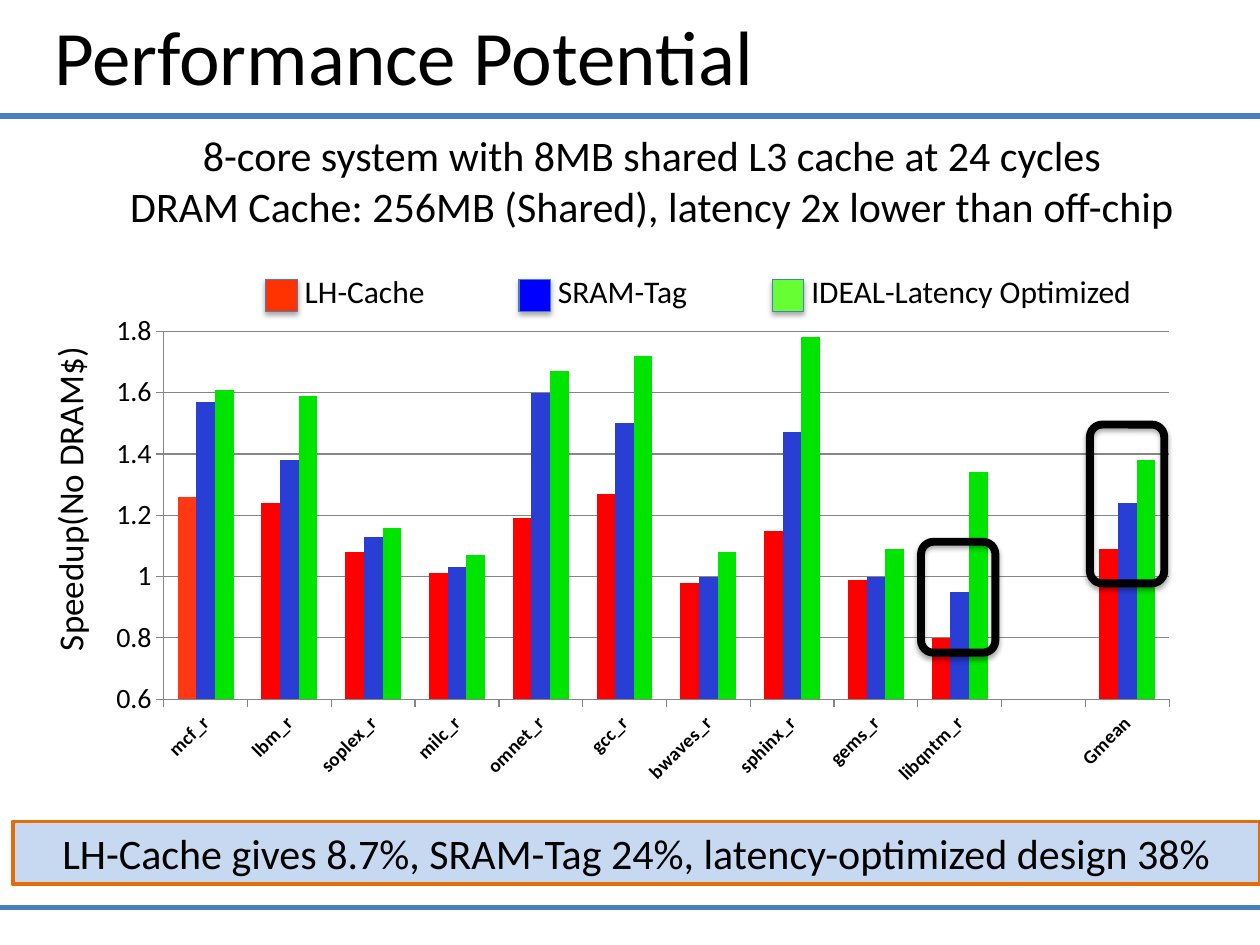
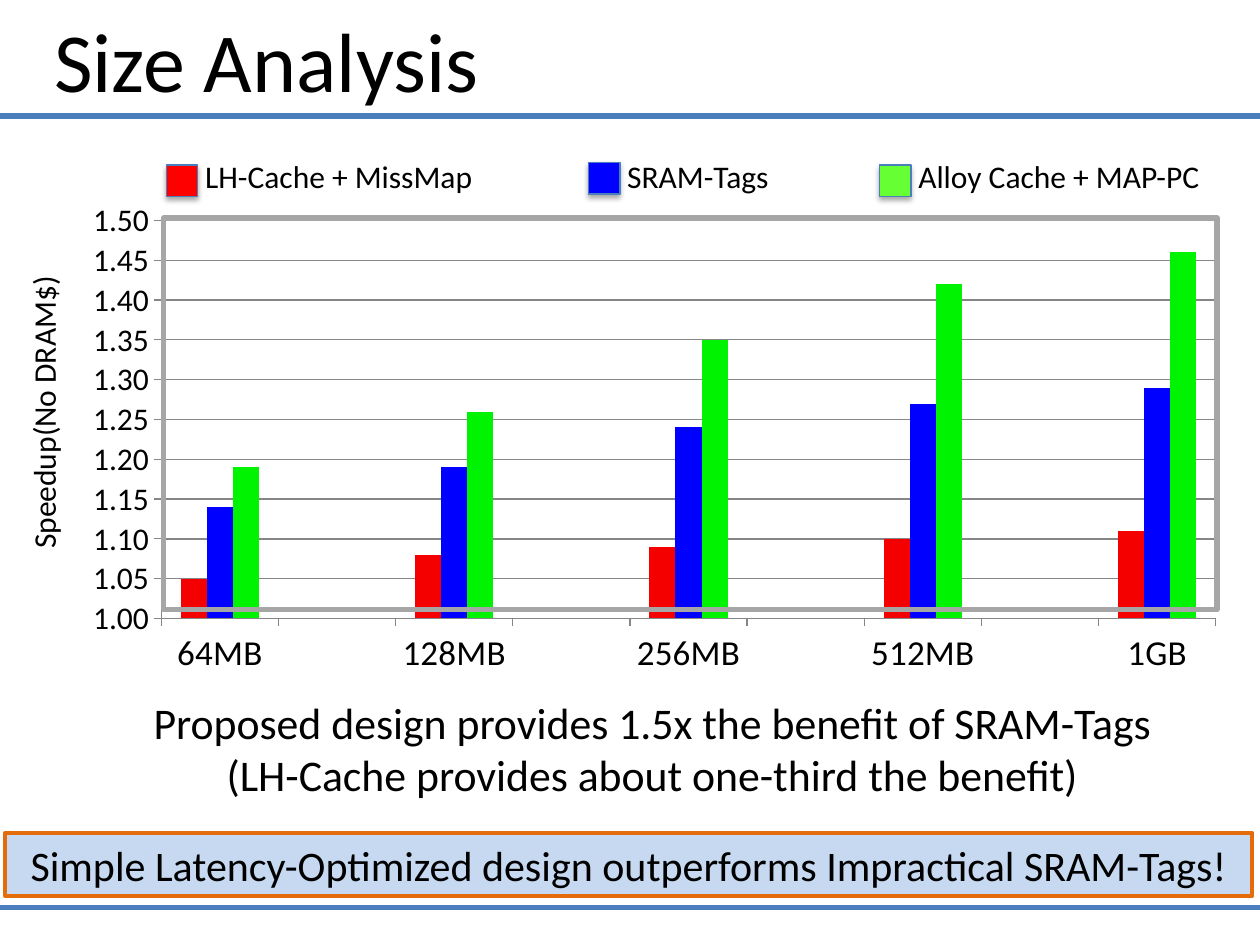
"""Build two slides on DRAM cache performance with python-pptx."""
from dataclasses import dataclass
from typing import NamedTuple, Optional

from lxml import etree
from pptx import Presentation
from pptx import util as u
from pptx.chart import data as chart_data
from pptx.dml.color import RGBColor
from pptx.enum import chart as charts, shapes, text
from pptx.oxml import parse_xml
from pptx.oxml.ns import nsdecls, qn


@dataclass(frozen=True)
class Theme:
    """Colours, font and type sizes of the deck."""
    font: str = "Calibri"
    ink: str = "000000"
    rule: str = "4B7EBC"
    banner: str = "C6D9F1"
    banner_edge: str = "E46C0A"
    frame: str = "A6A6A6"
    grid: str = "868686"
    blue: str = "0000FF"
    green: str = "66FF33"
    banner_size: int = 24
    legend_size: int = 18


class Frame(NamedTuple):
    """A rectangle in inches."""
    left: float
    top: float
    width: float
    height: float

    def lengths(self) -> tuple:
        """Return the four lengths for python-pptx."""
        return tuple(u.Inches(side) for side in self)


class Series(NamedTuple):
    """A set of bars."""
    name: str
    color: str
    values: tuple


class Key(NamedTuple):
    """A legend swatch with its label."""
    label: str
    color: str
    left: float
    top: float
    label_width: float


@dataclass(frozen=True)
class BarChart:
    """A clustered column chart and its axes."""
    frame: Frame
    plot: Frame
    categories: tuple
    series: tuple
    low: float
    high: float
    step: float
    number_format: str
    value_size: int
    category_size: int
    category_bold: bool = False
    category_angle: int = 0


THEME = Theme()


def rgb(color: str) -> RGBColor:
    """Turn a hex code into a colour."""
    return RGBColor.from_string(color)


def write(frame, lines: list, size: float, align=text.PP_ALIGN.LEFT) -> None:
    """Write one paragraph per line into a text frame."""
    for index, line in enumerate(lines):
        para = frame.add_paragraph() if index else frame.paragraphs[0]
        para.alignment = align
        span = para.add_run()
        span.text = line
        span.font.name = THEME.font
        span.font.size = u.Pt(size)
        span.font.color.rgb = rgb(THEME.ink)


def add_text(page, place: Frame, lines: list, size: float,
             align=text.PP_ALIGN.LEFT, rotation: float = 0) -> None:
    """Add an unwrapped text box."""
    box = page.shapes.add_textbox(*place.lengths())
    box.rotation = rotation
    box.text_frame.word_wrap = False
    write(box.text_frame, lines, size, align)


def add_box(page, place: Frame, line: str, weight: float, fill: Optional[str] = None,
            kind=shapes.MSO_SHAPE.RECTANGLE, shadow: bool = False):
    """Add an outlined shape, optionally filled and shadowed."""
    box = page.shapes.add_shape(kind, *place.lengths())
    box.shadow.inherit = False
    box.line.color.rgb = rgb(line)
    box.line.width = u.Pt(weight)
    if fill:
        box.fill.solid()
        box.fill.fore_color.rgb = rgb(fill)
    else:
        box.fill.background()
    if shadow:
        effects = box._element.spPr.find(qn("a:effectLst"))
        effects.append(parse_xml(
            f'<a:outerShdw {nsdecls("a")} blurRad="{u.Pt(3.1)}" dist="{u.Pt(1.8)}" '
            f'dir="5400000" rotWithShape="0"><a:srgbClr val="{THEME.ink}">'
            '<a:alpha val="35000"/></a:srgbClr></a:outerShdw>'))
    return box


def add_page(deck, title: str, title_size: float):
    """Add a page with its title and two rules."""
    page = deck.slides.add_slide(deck.slide_layouts[5])
    for top in (0.92, 7.2):
        rule = page.shapes.add_connector(
            shapes.MSO_CONNECTOR.STRAIGHT, 0, u.Inches(top), u.Inches(10), u.Inches(top))
        rule.line.color.rgb = rgb(THEME.rule)
        rule.line.width = u.Pt(3)
        etree.SubElement(rule._element.spPr, qn("a:effectLst"))
    heading = page.shapes.title
    heading.left, heading.top, heading.width, heading.height = Frame(0.33, 0, 9.4, 0.96).lengths()
    frame = heading.text_frame
    frame.auto_size = text.MSO_AUTO_SIZE.NONE
    frame.vertical_anchor = text.MSO_ANCHOR.TOP
    frame.margin_top = u.Inches(0.07)
    write(frame, [title], title_size)
    return page


def add_banner(page, left: float, top: float, message: str) -> None:
    """Add the takeaway band."""
    box = add_box(page, Frame(left, top, 9.9, 0.5), THEME.banner_edge, 2.25, THEME.banner)
    box.text_frame.word_wrap = True
    box.text_frame.vertical_anchor = text.MSO_ANCHOR.MIDDLE
    write(box.text_frame, [message], THEME.banner_size, text.PP_ALIGN.CENTER)


def add_legend(page, keys: list, label_top: float) -> None:
    """Add swatches with labels to their right."""
    for key in keys:
        add_box(page, Frame(key.left, key.top, 0.25, 0.25), THEME.rule, 0.75,
                key.color, shadow=True)
        add_text(page, Frame(key.left + 0.21, label_top, key.label_width, 0.4),
                 [key.label], THEME.legend_size)


def place_plot(chart, outer: Frame, inner: Frame) -> None:
    """Fix the inner plot area within the chart."""
    shares = {"x": (inner.left - outer.left) / outer.width,
              "y": (inner.top - outer.top) / outer.height,
              "w": inner.width / outer.width, "h": inner.height / outer.height}
    area = chart._chartSpace.find(".//" + qn("c:plotArea"))
    for old in area.findall(qn("c:layout")):
        area.remove(old)
    sides = "".join(f'<c:{side}Mode val="edge"/>' for side in "xy")
    sides += "".join(f'<c:{side} val="{share:.4f}"/>' for side, share in shares.items())
    area.insert(0, parse_xml(
        f'<c:layout {nsdecls("c")}><c:manualLayout><c:layoutTarget val="inner"/>'
        f'{sides}</c:manualLayout></c:layout>'))


def add_bars(page, bars: BarChart):
    """Add a clustered column chart."""
    source = chart_data.CategoryChartData()
    source.categories = bars.categories
    for series in bars.series:
        source.add_series(series.name, series.values)
    chart = page.shapes.add_chart(
        charts.XL_CHART_TYPE.COLUMN_CLUSTERED, *bars.frame.lengths(), source).chart
    chart.has_legend = chart.has_title = False
    chart.font.name = THEME.font
    chart.font.size = u.Pt(10)
    chart.font.color.rgb = rgb(THEME.ink)
    plot = chart.plots[0]
    plot.gap_width, plot.overlap, plot.vary_by_categories = 150, 0, False
    for drawn, series in zip(plot.series, bars.series):
        drawn.invert_if_negative = False
        drawn.format.fill.solid()
        drawn.format.fill.fore_color.rgb = rgb(series.color)
    values, categories = chart.value_axis, chart.category_axis
    for axis, size in ((values, bars.value_size), (categories, bars.category_size)):
        axis.major_tick_mark = charts.XL_TICK_MARK.OUTSIDE
        axis.format.line.color.rgb = rgb(THEME.grid)
        axis.tick_labels.font.size = u.Pt(size)
    categories.tick_labels.font.bold = bars.category_bold
    labels = categories._element.find(qn("c:txPr")).find(qn("a:bodyPr"))
    labels.set("rot", str(bars.category_angle * 60000))
    values.minimum_scale, values.maximum_scale = bars.low, bars.high
    values.major_unit = bars.step
    values.tick_labels.number_format = bars.number_format
    values.tick_labels.number_format_is_linked = False
    values.major_gridlines.format.line.color.rgb = rgb(THEME.grid)
    place_plot(chart, bars.frame, bars.plot)
    return chart


def build_performance(deck) -> None:
    """Build the page on performance potential."""
    page = add_page(deck, "Performance Potential", 44)
    add_banner(page, 0.1, 6.52, "LH-Cache gives 8.7%, SRAM-Tag 24%, latency-optimized design 38%")
    add_text(page, Frame(0.88, 0.98, 8.59, 0.91),
             ["8-core system with 8MB shared L3 cache at 24 cycles",
              "DRAM Cache: 256MB (Shared), latency 2x lower than off-chip"],
             24, text.PP_ALIGN.CENTER)
    chart = add_bars(page, BarChart(
        Frame(0.76, 2.41, 8.69, 4.17), Frame(1.3, 2.63, 7.98, 2.92),
        ("mcf_r", "lbm_r", "soplex_r", "milc_r", "omnet_r", "gcc_r", "bwaves_r",
         "sphinx_r", "gems_r", "libqntm_r", "", "Gmean"),
        (Series("LH-Cache", "FF0000",
                (1.26, 1.24, 1.08, 1.01, 1.19, 1.27, 0.98, 1.15, 0.99, 0.8, None, 1.09)),
         Series("SRAM-Tag", "283ED5",
                (1.57, 1.38, 1.13, 1.03, 1.6, 1.5, 1, 1.47, 1, 0.95, None, 1.24)),
         Series("IDEAL-Latency Optimized", "00E500",
                (1.61, 1.59, 1.16, 1.07, 1.67, 1.72, 1.08, 1.78, 1.09, 1.34, None, 1.38))),
        0.6, 1.8, 0.2, "General", 16, 11, True, -45))
    first_bar = chart.plots[0].series[0].points[0].format.fill
    first_bar.solid()
    first_bar.fore_color.rgb = rgb("FF3713")
    add_text(page, Frame(-0.75, 3.74, 2.61, 0.44), ["Speedup(No DRAM$)"], 20, rotation=270)
    entries = (("LH-Cache", "FF3300", 1.16), ("SRAM-Tag", THEME.blue, 1.26),
               ("IDEAL-Latency Optimized", THEME.green, 2.78))
    add_legend(page, [Key(label, color, 2.11 + 2.01 * index, 2.22, width)
                      for index, (label, color, width) in enumerate(entries)], 2.11)
    for highlight in (Frame(7.31, 4.3, 0.59, 0.88), Frame(8.65, 3.37, 0.59, 1.26)):
        add_box(page, highlight, THEME.ink, 4.5,
                kind=shapes.MSO_SHAPE.ROUNDED_RECTANGLE, shadow=True)


def spaced(items: tuple, gap) -> tuple:
    """Put a gap between neighbouring items."""
    return tuple(part for item in items for part in (item, gap))[:-1]


def build_size(deck) -> None:
    """Build the page on cache size."""
    page = add_page(deck, "Size Analysis", 48)
    add_banner(page, 0.04, 6.61,
               "Simple Latency-Optimized design outperforms Impractical SRAM-Tags!")
    rows = (("LH-Cache + MissMap", "F40000", (1.05, 1.08, 1.09, 1.1, 1.11)),
            ("SRAM-Tags", THEME.blue, (1.14, 1.19, 1.24, 1.27, 1.29)),
            ("Alloy Cache + MAP-PC", "00F300", (1.19, 1.26, 1.35, 1.42, 1.46)))
    add_bars(page, BarChart(
        Frame(0.55, 1.52, 9.28, 3.91), Frame(1.28, 1.75, 8.37, 3.16),
        spaced(("64MB", "128MB", "256MB", "512MB", "1GB"), ""),
        tuple(Series(name, color, spaced(values, None)) for name, color, values in rows),
        1, 1.5, 0.05, "#,##0.00", 18, 20))
    add_box(page, Frame(1.3, 1.73, 8.36, 3.11), THEME.frame, 3)
    add_legend(page, [Key("LH-Cache + MissMap", "FF0000", 1.32, 1.31, 2.34),
                      Key("SRAM-Tags", THEME.blue, 4.67, 1.29, 1.36),
                      Key("Alloy Cache + MAP-PC", THEME.green, 6.98, 1.31, 2.47)], 1.2)
    add_text(page, Frame(1.05, 5.47, 8.25, 0.94),
             ["Proposed design provides 1.5x the benefit of SRAM-Tags",
              "(LH-Cache provides about one-third the benefit)"], 25, text.PP_ALIGN.CENTER)
    add_text(page, Frame(-0.85, 3.06, 2.39, 0.4), ["Speedup(No DRAM$)"], 18, rotation=270)


def main() -> None:
    """Build and save the deck."""
    deck = Presentation()
    deck.slide_width, deck.slide_height = u.Inches(10), u.Inches(7.5)
    build_performance(deck)
    build_size(deck)
    deck.save("out.pptx")


if __name__ == "__main__":
    main()
